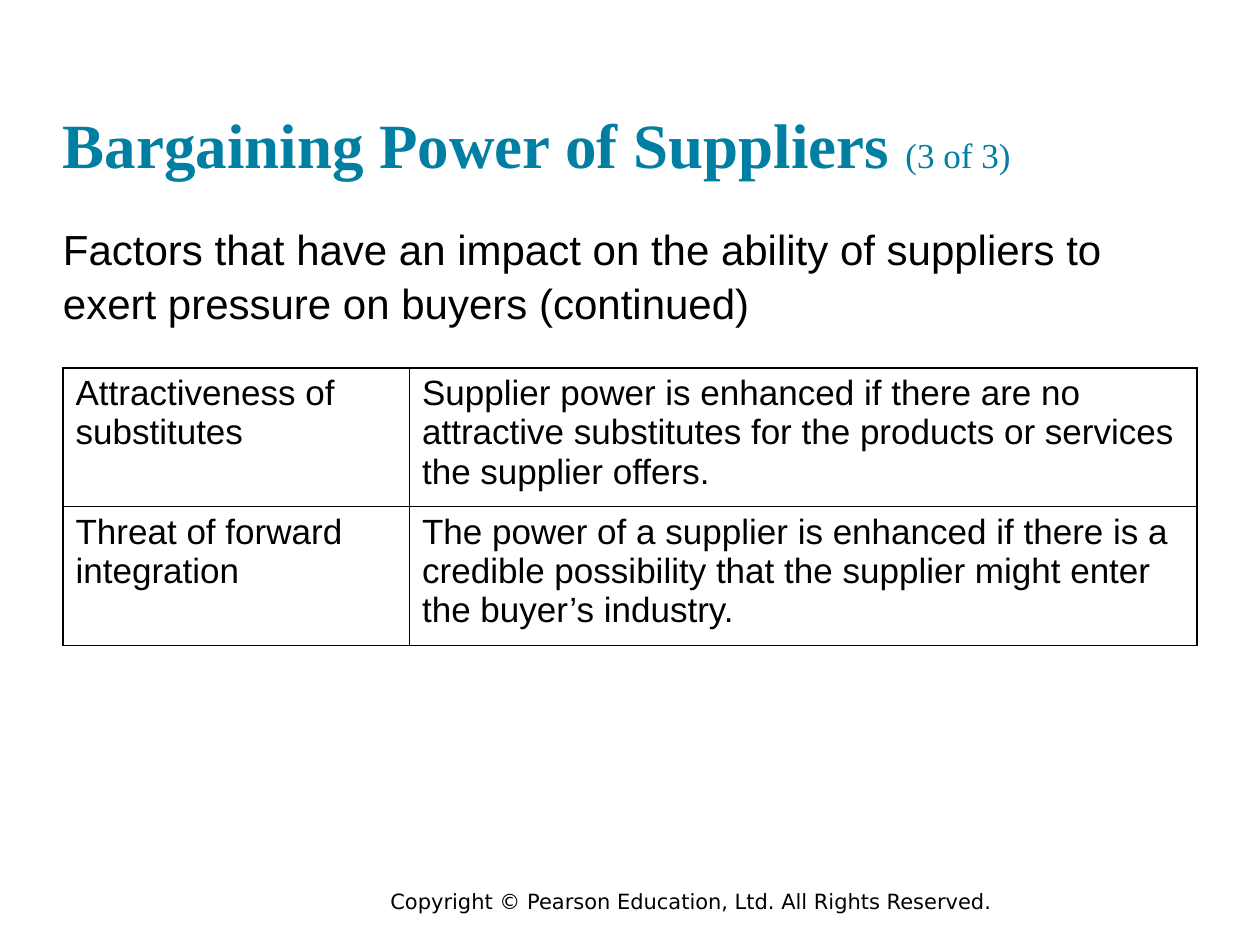
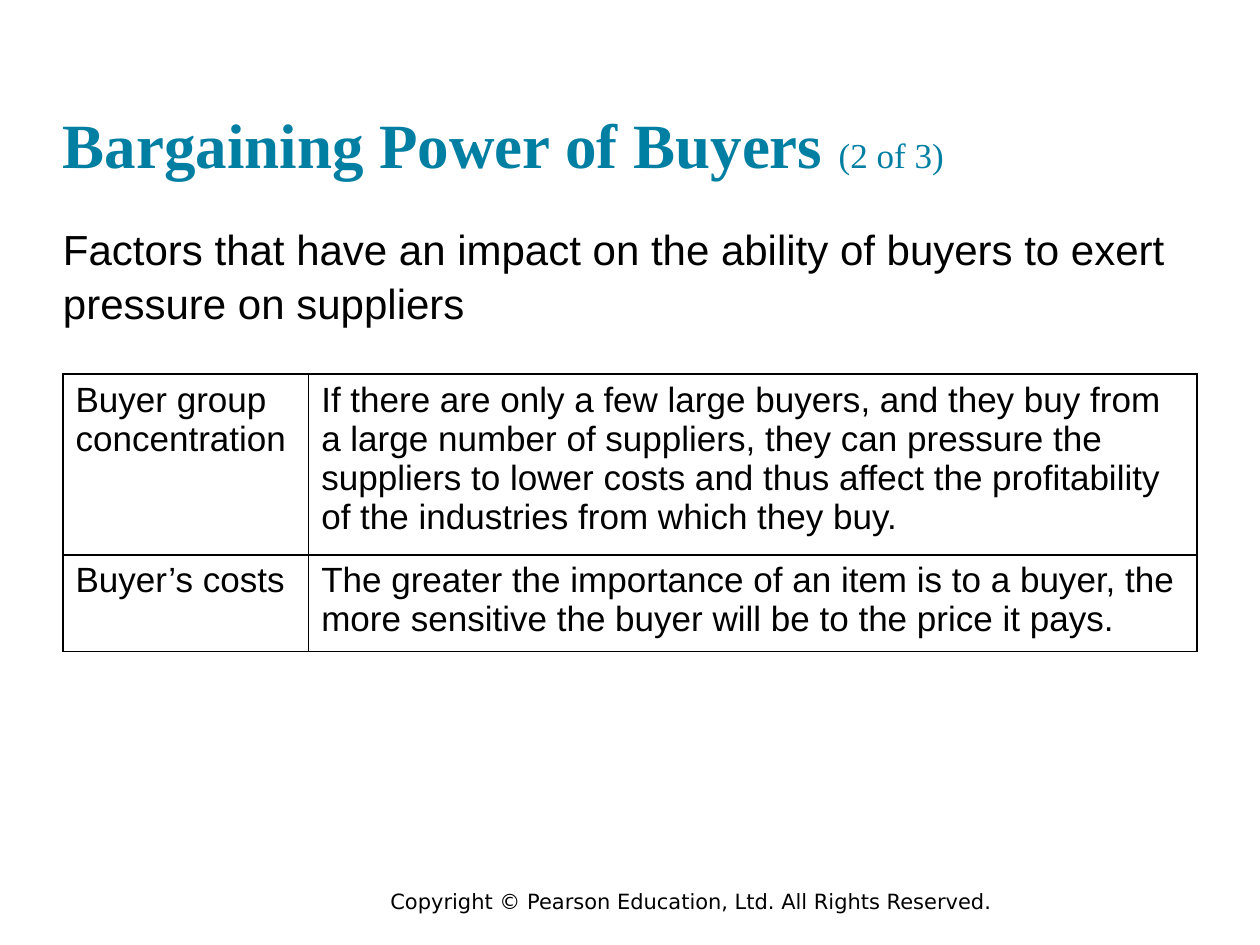
import pptx
import pptx.util
import pptx.dml.color
import pptx.enum.text
import pptx.oxml

PX = 9144  # EMU per px, 100 px to the inch
TEAL, BLACK, WHITE = "007FA3", "000000", "FFFFFF"
SERIF, SANS, FOOT = "Times New Roman", "Arial", "DejaVu Sans"
LEFT, WIDE = 50, 900
NOTICE = "Copyright © Pearson Education, Ltd. All Rights Reserved."
EDGE = (
    '<a:{side} xmlns:a="http://schemas.openxmlformats.org/drawingml/2006/main" w="12700">'
    '<a:solidFill><a:srgbClr val="{hue}"/></a:solidFill></a:{side}>'
)


def px(num):
    return pptx.util.Emu(num * PX)


def color(hue):
    return pptx.dml.color.RGBColor.from_string(hue)


def style(font, face, size, hue):
    font.name = face
    font.size = pptx.util.Pt(size)
    font.color.rgb = color(hue)


def add_box(slide, left, top, wide, high, inset=True):
    frame = slide.shapes.add_textbox(px(left), px(top), px(wide), px(high)).text_frame
    frame.word_wrap = True
    if not inset:
        frame.margin_left = frame.margin_right = 0
        frame.margin_top = frame.margin_bottom = 0
    return frame


def add_title(slide, text, part):
    frame = add_box(slide, LEFT, 24, WIDE, 120, inset=False)
    frame.vertical_anchor = pptx.enum.text.MSO_ANCHOR.BOTTOM
    for words, size, bold in ((text + " ", 36, True), (part, 20, False)):
        run = frame.paragraphs[0].add_run()
        run.text = words
        style(run.font, SERIF, size, TEAL)
        run.font.bold = bold


def add_lead(slide, text):
    para = add_box(slide, LEFT, 175, WIDE, 83, inset=False).paragraphs[0]
    para.text = text
    para.line_spacing = 1.07
    style(para.font, SANS, 24, BLACK)


def add_footer(slide):
    frame = add_box(slide, 300, 700, 667, 30)
    frame.auto_size = pptx.enum.text.MSO_AUTO_SIZE.SHAPE_TO_FIT_TEXT
    para = frame.paragraphs[0]
    para.text = NOTICE
    style(para.font, FOOT, 12, BLACK)


def fill_cell(cell, text):
    cell.fill.solid()
    cell.fill.fore_color.rgb = color(WHITE)
    para = cell.text_frame.paragraphs[0]
    para.text = text
    style(para.font, SANS, 20, BLACK)
    # Borders come before the fill in the cell properties
    props = cell._tc.get_or_add_tcPr()
    for spot, side in enumerate(("lnL", "lnR", "lnT", "lnB")):
        props.insert(spot, pptx.oxml.parse_xml(EDGE.format(side=side, hue=BLACK)))


def add_grid(slide, top, first, highs, rows):
    grid = slide.shapes.add_table(
        len(rows), 2, px(LEFT), px(top), px(WIDE), px(sum(highs))
    ).table
    grid.first_row = grid.horz_banding = False
    for col, wide in zip(grid.columns, (first, WIDE - first)):
        col.width = px(wide)
    for row, high, texts in zip(grid.rows, highs, rows):
        row.height = px(high)
        for cell, text in zip(row.cells, texts):
            fill_cell(cell, text)


def add_page(deck, title, part, lead, **grid):
    slide = deck.slides.add_slide(deck.slide_layouts[6])
    add_footer(slide)
    add_title(slide, title, part)
    add_lead(slide, lead)
    add_grid(slide, **grid)


def main():
    deck = pptx.Presentation()
    deck.slide_width, deck.slide_height = px(1000), px(750)

    # Suppliers
    add_page(
        deck, "Bargaining Power of Suppliers", "(3 of 3)",
        "Factors that have an impact on the ability of suppliers to exert "
        "pressure on buyers (continued)",
        top=292, first=275, highs=(108, 75),
        rows=(
            ("Attractiveness of substitutes",
             "Supplier power is enhanced if there are no attractive substitutes "
             "for the products or services the supplier offers."),
            ("Threat of forward integration",
             "The power of a supplier is enhanced if there is a credible "
             "possibility that the supplier might enter the buyer’s industry."),
        ),
    )

    # Buyers
    add_page(
        deck, "Bargaining Power of Buyers", "(2 of 3)",
        "Factors that have an impact on the ability of buyers to exert "
        "pressure on suppliers",
        top=297, first=195, highs=(43, 23),
        rows=(
            ("Buyer group concentration",
             "If there are only a few large buyers, and they buy from a large "
             "number of suppliers, they can pressure the suppliers to lower costs "
             "and thus affect the profitability of the industries from which they buy."),
            ("Buyer’s costs",
             "The greater the importance of an item is to a buyer, the more "
             "sensitive the buyer will be to the price it pays."),
        ),
    )
    deck.save("out.pptx")


if __name__ == "__main__":
    main()
